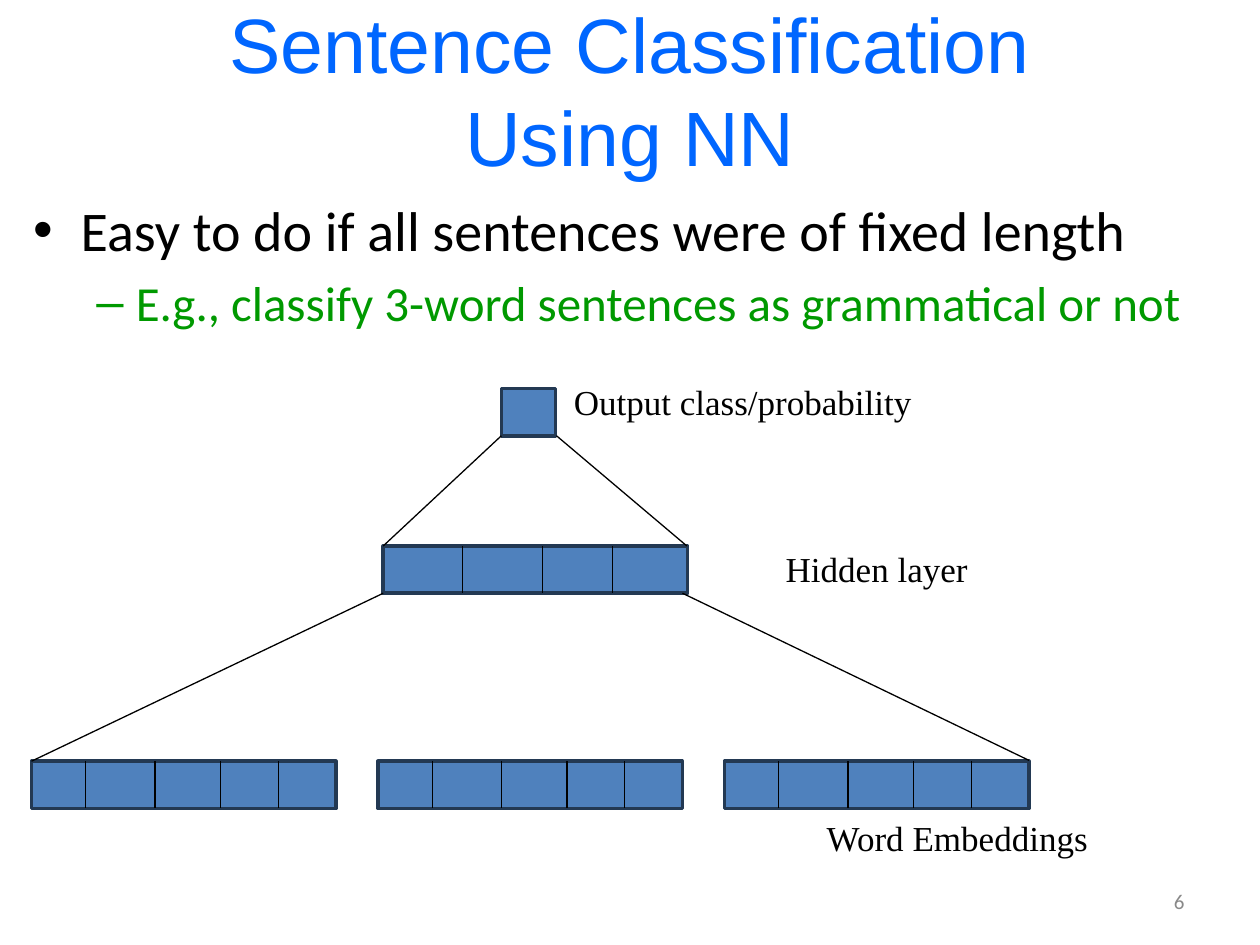
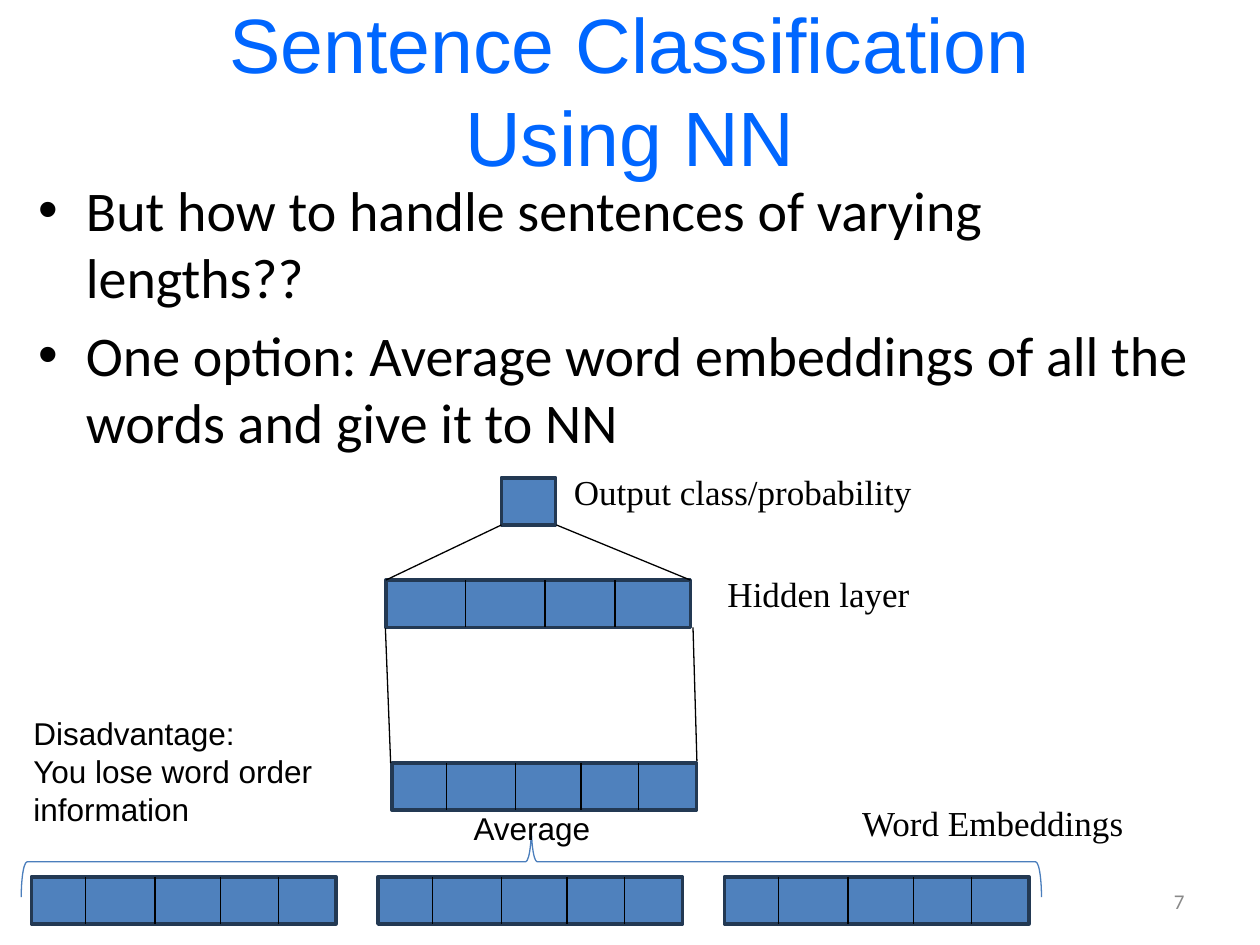
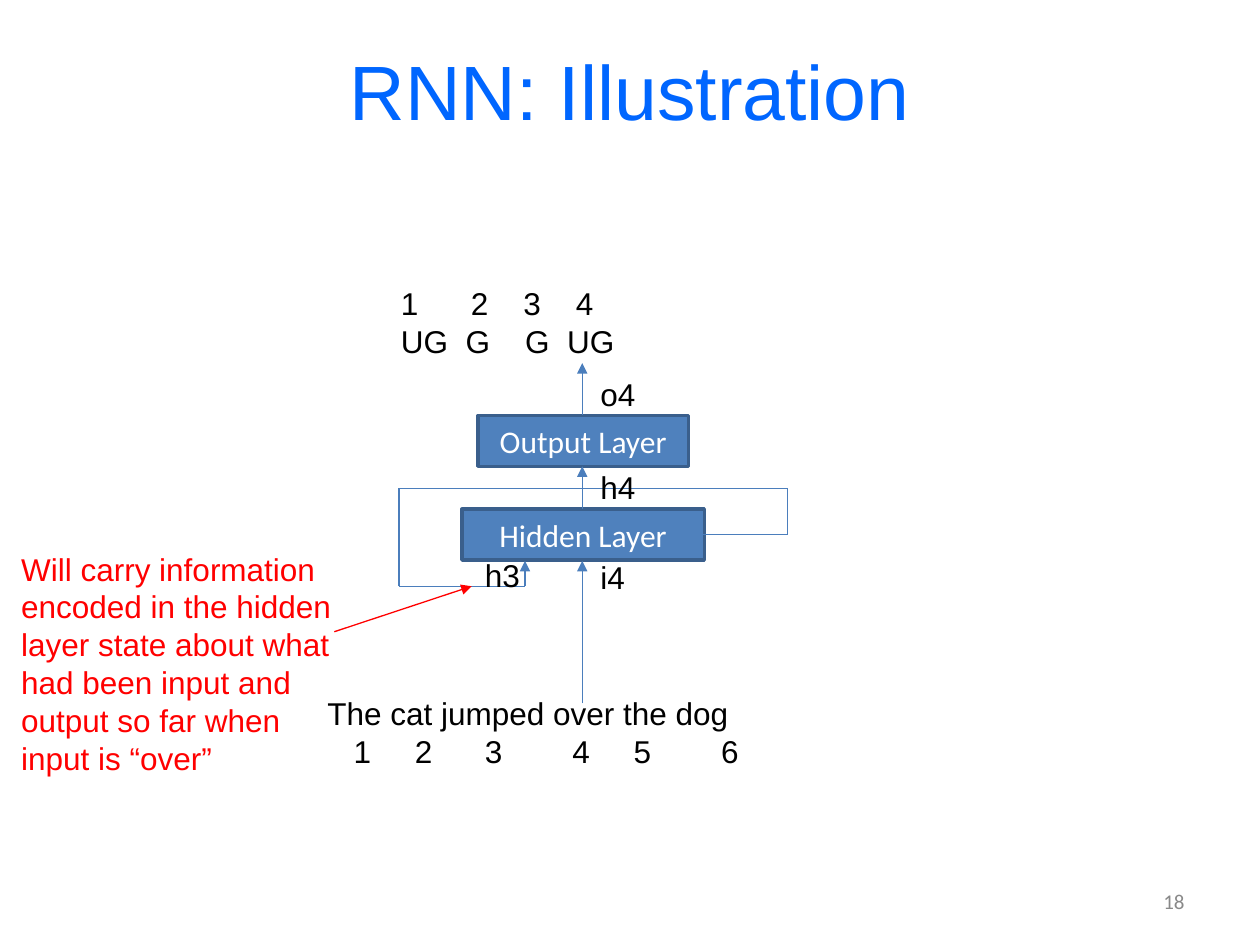
import itertools
import lxml.etree
import pptx
import pptx.dml.color
import pptx.enum.shapes
import pptx.enum.text
import pptx.oxml.ns
import pptx.util

Pt = pptx.util.Pt
qn = pptx.oxml.ns.qn
tint = pptx.dml.color.RGBColor.from_string
node = lxml.etree.SubElement
Kind = pptx.enum.shapes.MSO_SHAPE
Side = pptx.enum.text.PP_ALIGN
Hold = pptx.enum.text.MSO_ANCHOR

BLACK, WHITE, RED, GREEN = "000000", "FFFFFF", "FF0000", "009900"
TITLE, GREY = "0066FF", "898989"
FILL, DARK, EDGE, WIRE = "4F81BD", "233953", "3A5F8C", "4B7EBC"


def write(frame, lines, size=18, font="Arial", color=BLACK, align=Side.LEFT,
          anchor=Hold.TOP, wrap=False, stops=()):
    frame.text = "\n".join(lines)
    frame.word_wrap = wrap
    frame.auto_size = pptx.enum.text.MSO_AUTO_SIZE.NONE
    frame.vertical_anchor = anchor
    for para, row in itertools.zip_longest(frame.paragraphs, stops, fillvalue=()):
        para.alignment = align
        if row:
            tabs = node(para._p.get_or_add_pPr(), qn("a:tabLst"))
            for stop in row:
                node(tabs, qn("a:tab"), pos=str(Pt(stop)), algn="l")
        para.font.size = Pt(size)
        para.font.name = font
        para.font.color.rgb = tint(color)


def link(page, x1, y1, x2, y2, color=BLACK, arrow=False):
    wire = page.shapes.add_connector(
        pptx.enum.shapes.MSO_CONNECTOR.STRAIGHT, Pt(x1), Pt(y1), Pt(x2), Pt(y2))
    wire.line.color.rgb = tint(color)
    wire.line.width = Pt(0.75)
    props = wire.element.spPr
    if arrow:
        node(props.find(qn("a:ln")), qn("a:tailEnd"), type="triangle")
    node(props, qn("a:effectLst"))


deck = pptx.Presentation()
deck.slide_width, deck.slide_height = Pt(720), Pt(540)

pages = []
for title, number in [
    ("Sentence Classification\vUsing NN", "6"),
    ("Sentence Classification\vUsing NN", "7"),
    ("RNN: Illustration", "18"),
]:
    page = deck.slides.add_slide(deck.slide_layouts[5])
    head = page.shapes.title
    head.left, head.top, head.width, head.height = Pt(36), Pt(6), Pt(648), Pt(90)
    write(head.text_frame, [title], 44, "Arial", TITLE, Side.CENTER, Hold.MIDDLE, True)
    foot = page.shapes.add_textbox(Pt(516), Pt(500.5), Pt(168), Pt(28.75))
    write(foot.text_frame, [number], 12, "Calibri", GREY, Side.RIGHT, Hold.MIDDLE, True)
    pages.append(page)
fixed, mean, rnn = pages

levels = [("•", 27, 27, 32, BLACK), ("–", 58.5, 22.5, 28, GREEN)]
for page, x, y, items in [
    (fixed, 12, 108, [
        ("Easy to do if all sentences were of fixed length", 0),
        ("E.g., classify 3-word sentences as grammatical or not", 1),
    ]),
    (mean, 15, 96.5, [
        ("But how to handle sentences of varying lengths??", 0),
        ("One option: Average word embeddings of all the words and give it to NN", 0),
    ]),
]:
    frame = page.shapes.add_textbox(Pt(x), Pt(y), Pt(672), Pt(408)).text_frame
    frame.word_wrap = True
    frame.text = "\n".join(text for text, level in items)
    for spot, (para, (text, level)) in enumerate(zip(frame.paragraphs, items)):
        mark, left, hang, size, color = levels[level]
        para.level = level
        props = para._p.get_or_add_pPr()
        props.set("marL", str(Pt(left)))
        props.set("indent", str(-Pt(hang)))
        node(props, qn("a:buFont"), typeface="Arial")
        node(props, qn("a:buChar"), char=mark)
        if spot:
            para.space_before = Pt(size * 0.2)
        para.font.size = Pt(size)
        para.font.name = "Calibri"
        para.font.color.rgb = tint(color)

word = (31, 70.5, 108, 141)
state = (45.5, 91, 131)
boxes = [
    (fixed, 286.5, 222, 31, 27, DARK, (), ""),
    (fixed, 219, 312, 174, 27, DARK, state, ""),
    (mean, 286.5, 273, 31, 27, DARK, (), ""),
    (mean, 220.5, 331.5, 174, 27, DARK, state, ""),
    (mean, 224, 436, 174, 27, DARK, word, ""),
    (rnn, 264, 291, 138.5, 29, EDGE, (), "Hidden Layer"),
    (rnn, 273, 237.5, 120.5, 29, EDGE, (), "Output Layer"),
]
for page, y in [(fixed, 435), (mean, 501)]:
    for step in range(3):
        boxes.append((page, 18 + 198 * step, y, 174, 27, DARK, word, ""))

for page, x, y, w, h, edge, cuts, text in boxes:
    box = page.shapes.add_shape(Kind.RECTANGLE, Pt(x), Pt(y), Pt(w), Pt(h))
    box.shadow.inherit = False
    box.fill.solid()
    box.fill.fore_color.rgb = tint(FILL)
    box.line.color.rgb = tint(edge)
    box.line.width = Pt(2)
    if text:
        write(box.text_frame, [text], 18, "Calibri", WHITE, Side.CENTER, Hold.MIDDLE, True)
    for cut in cuts:
        link(page, x + cut, y, x + cut, y + h)

for page, ends in [
    (fixed, (219, 339, 18, 435)),
    (fixed, (390, 339, 588, 434.5)),
    (fixed, (286.5, 249, 219, 312)),
    (fixed, (318, 249, 392.5, 312)),
    (mean, (220.25, 359, 223.25, 436)),
    (mean, (396, 358.5, 398.25, 435)),
    (mean, (286.5, 300, 220.5, 331.5)),
    (mean, (318, 300, 394.5, 331.5)),
]:
    link(page, *ends)

brace = mean.shapes.add_shape(Kind.LEFT_BRACE, Pt(283.5), Pt(201), Pt(40.25), Pt(583))
brace.rotation = 90
brace.shadow.inherit = False
brace.fill.background()
brace.line.color.rgb = tint(WIRE)
brace.line.width = Pt(0.75)

for page, x, y, w, text in [
    (fixed, 464.5, 463, 165, "Word Embeddings"),
    (fixed, 441.5, 309.5, 119, "Hidden layer"),
    (fixed, 320.5, 214, 208, "Output class/probability"),
    (mean, 484.75, 454.5, 165, "Word Embeddings"),
    (mean, 408.25, 323.5, 119, "Hidden layer"),
    (mean, 320.5, 265.5, 208, "Output class/probability"),
]:
    label = page.shapes.add_textbox(Pt(x), Pt(y), Pt(w), Pt(31.5))
    write(label.text_frame, [text], 20, "Times New Roman", BLACK, Side.CENTER)

loop = [(402, 305.5), (450, 305.5), (450, 279), (228, 279), (228, 335), (300, 335), (300, 320.5)]
for spot, (start, end) in enumerate(itertools.pairwise(loop), 2):
    link(rnn, *start, *end, WIRE, spot == len(loop))
for start, end in [(237, 207.5), (402, 320.5), (291, 266.5)]:
    link(rnn, 332.75, start, 332.75, end, WIRE, True)
link(rnn, 191, 361, 269.5, 335, RED, True)

for page, x, y, w, h, color, lines, stops in [
    (mean, 263.5, 458.5, 82, 29, BLACK, ["Average"], ()),
    (mean, 12, 404.5, 360, 72.5, BLACK,
     ["Disadvantage:", "You lose word order", "information"], ()),
    (rnn, 222, 159, 137.5, 51, BLACK, ["1\t2\t3\t4", "UG\tG\tG\tUG"],
     [(40, 70, 100), (37, 71, 95)]),
    (rnn, 336, 264, 34.5, 29, BLACK, ["h4"], ()),
    (rnn, 336, 210.5, 34.5, 29, BLACK, ["o4"], ()),
    (rnn, 336, 315.5, 29, 29, BLACK, ["i4"], ()),
    (rnn, 270, 314, 34.5, 29, BLACK, ["h3"], ()),
    (rnn, 5, 310.5, 198, 138, RED,
     ["Will carry information", "encoded in the hidden", "layer state about what",
      "had been input and", "output so far when", "input is “over”"], ()),
    (rnn, 180, 393, 252, 51, BLACK,
     ["The cat jumped over the dog", "\t1\t2\t3\t4\t5\t6"],
     [(), (15, 50, 90, 140, 175, 225)]),
]:
    note = page.shapes.add_textbox(Pt(x), Pt(y), Pt(w), Pt(h))
    write(note.text_frame, lines, color=color, wrap=len(lines) > 1, stops=stops)

deck.save("out.pptx")
